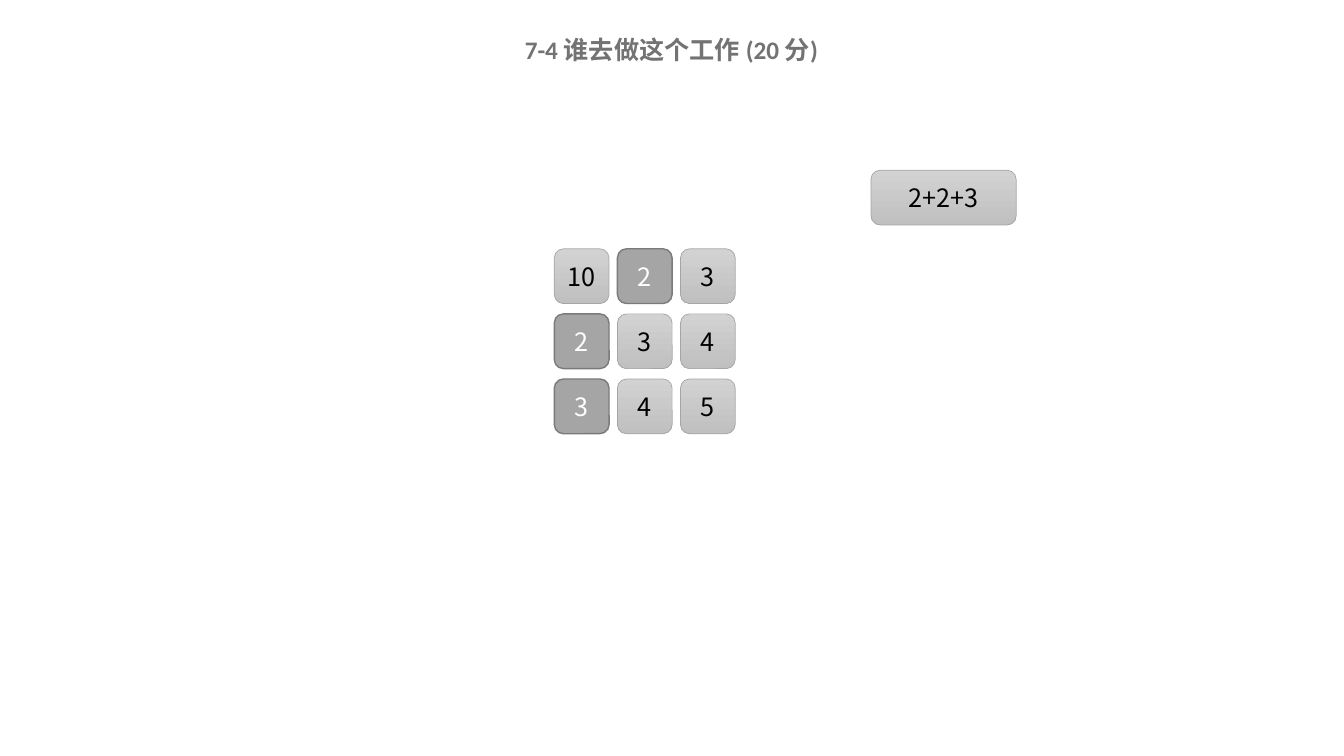
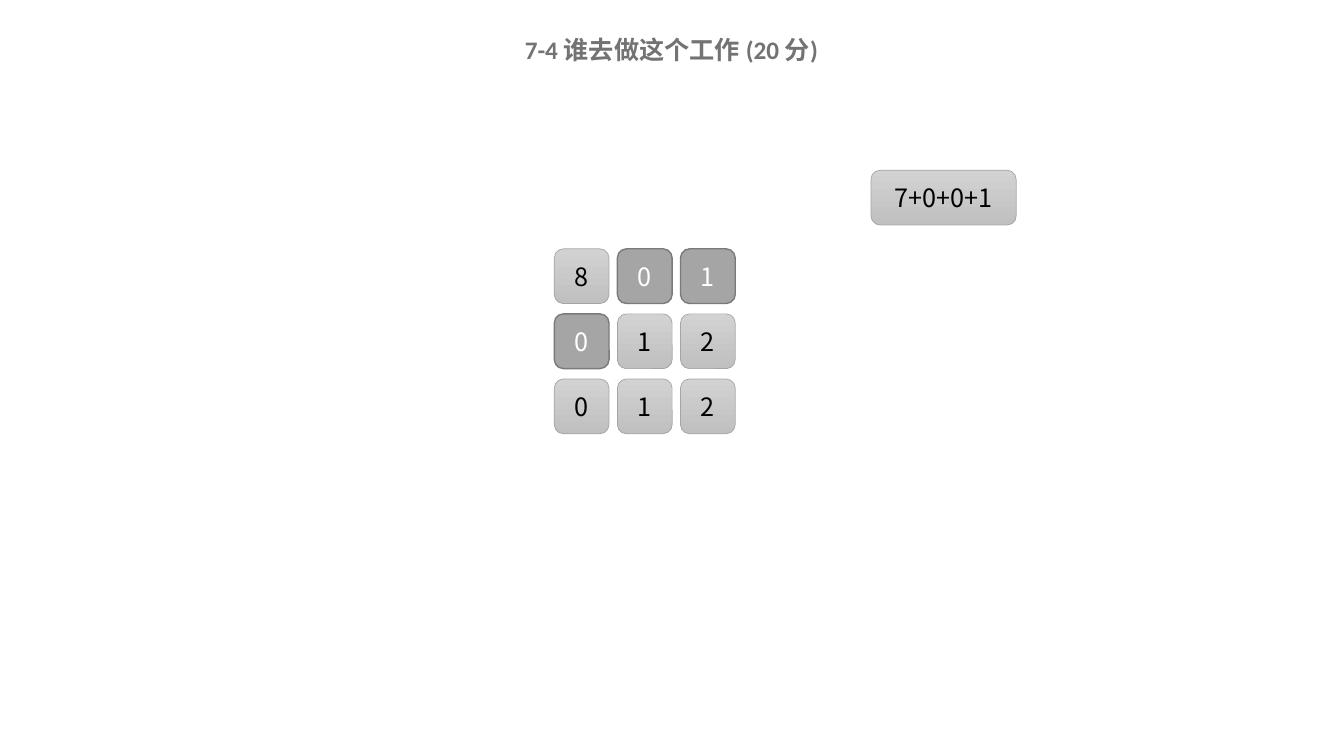
from pptx import Presentation
from pptx.dml.color import RGBColor as RGB
from pptx.enum.lang import MSO_LANGUAGE_ID as LANG
from pptx.enum.shapes import MSO_SHAPE as SHAPE
from pptx.enum.text import MSO_ANCHOR as ANCHOR, MSO_AUTO_SIZE as AUTOSIZE, PP_ALIGN as ALIGN
from pptx.util import Cm, Pt

COLORS = {
    "title": "737373",
    "tile_top": "D2D2D2",
    "tile_bottom": "C0C0C0",
    "tile_line": "A5A5A5",
    "tile_text": "000000",
    "picked": "A5A5A5",
    "picked_line": "7A7A7A",
    "picked_text": "FFFFFF",
}
TITLE = "7-4 谁去做这个工作 (20 分)"
TITLE_FONT, TILE_FONT = "Calibri", "Noto Sans CJK SC"
TITLE_BOX = (11.23, 0.74, 11.38, 1.02)
GRID_BOX = (13.97, 6.27, 4.56, 4.66)
SUM_BOX = (21.95, 4.29, 3.66, 1.38)
TILE = 1.38

SLIDES = [
    ([[10, 2, 3], [2, 3, 4], [3, 4, 5]], {(0, 1), (1, 0), (2, 0)}, "2+2+3"),
    ([[8, 0, 1], [0, 1, 2], [0, 1, 2]], {(0, 1), (0, 2), (1, 0)}, "7+0+0+1"),
]


def color(name):
    """Return the named palette colour."""
    return RGB.from_string(COLORS[name])


def style_text(p, font, name):
    """Centre a paragraph and set its font and colour."""
    p.alignment = ALIGN.CENTER
    p.font.name = font
    p.font.size = Pt(18)
    p.font.color.rgb = color(name)


def add_title(s, box):
    """Place the shared heading in the title placeholder."""
    sp = s.shapes.title
    sp.left, sp.top, sp.width, sp.height = map(Cm, box)
    tf = sp.text_frame
    tf.text = TITLE
    tf.word_wrap = True
    tf.auto_size = AUTOSIZE.SHAPE_TO_FIT_TEXT
    tf.vertical_anchor = ANCHOR.TOP
    p = tf.paragraphs[0]
    style_text(p, TITLE_FONT, "title")
    p.font.bold = True
    p.runs[0].font.language_id = LANG.SIMPLIFIED_CHINESE


def add_tile(s, box, text, picked=False):
    """Draw one rounded tile, flat and darker when picked."""
    sp = s.shapes.add_shape(SHAPE.ROUNDED_RECTANGLE, *map(Cm, box))
    sp.shadow.inherit = False
    kind = "picked" if picked else "tile"
    if picked:
        sp.fill.solid()
        sp.fill.fore_color.rgb = color("picked")
    else:
        sp.fill.gradient()
        sp.fill.gradient_angle = 270
        for stop, name in zip(sp.fill.gradient_stops, ("tile_top", "tile_bottom")):
            stop.color.rgb = color(name)
    sp.line.color.rgb = color(f"{kind}_line")
    sp.line.width = Pt(1 if picked else 0.5)
    tf = sp.text_frame
    tf.text = text
    tf.vertical_anchor = ANCHOR.MIDDLE
    style_text(tf.paragraphs[0], TILE_FONT, f"{kind}_text")


def add_grid(s, box, rows, picked):
    """Spread the cost matrix evenly over its box."""
    left, top, width, height = box
    step_x = (width - TILE) / (len(rows[0]) - 1)
    step_y = (height - TILE) / (len(rows) - 1)
    for i, row in enumerate(rows):
        for j, value in enumerate(row):
            tile = (left + j * step_x, top + i * step_y, TILE, TILE)
            add_tile(s, tile, str(value), (i, j) in picked)


def add_matrix_slide(prs, rows, picked, total):
    """Build a slide with heading, cost matrix and sum."""
    s = prs.slides.add_slide(prs.slide_layouts[5])
    add_title(s, TITLE_BOX)
    add_grid(s, GRID_BOX, rows, picked)
    add_tile(s, SUM_BOX, total)


def main():
    """Build and save the presentation."""
    prs = Presentation()
    prs.slide_width, prs.slide_height = Cm(33.87), Cm(19.05)
    for rows, picked, total in SLIDES:
        add_matrix_slide(prs, rows, picked, total)
    prs.save("out.pptx")


if __name__ == "__main__":
    main()
